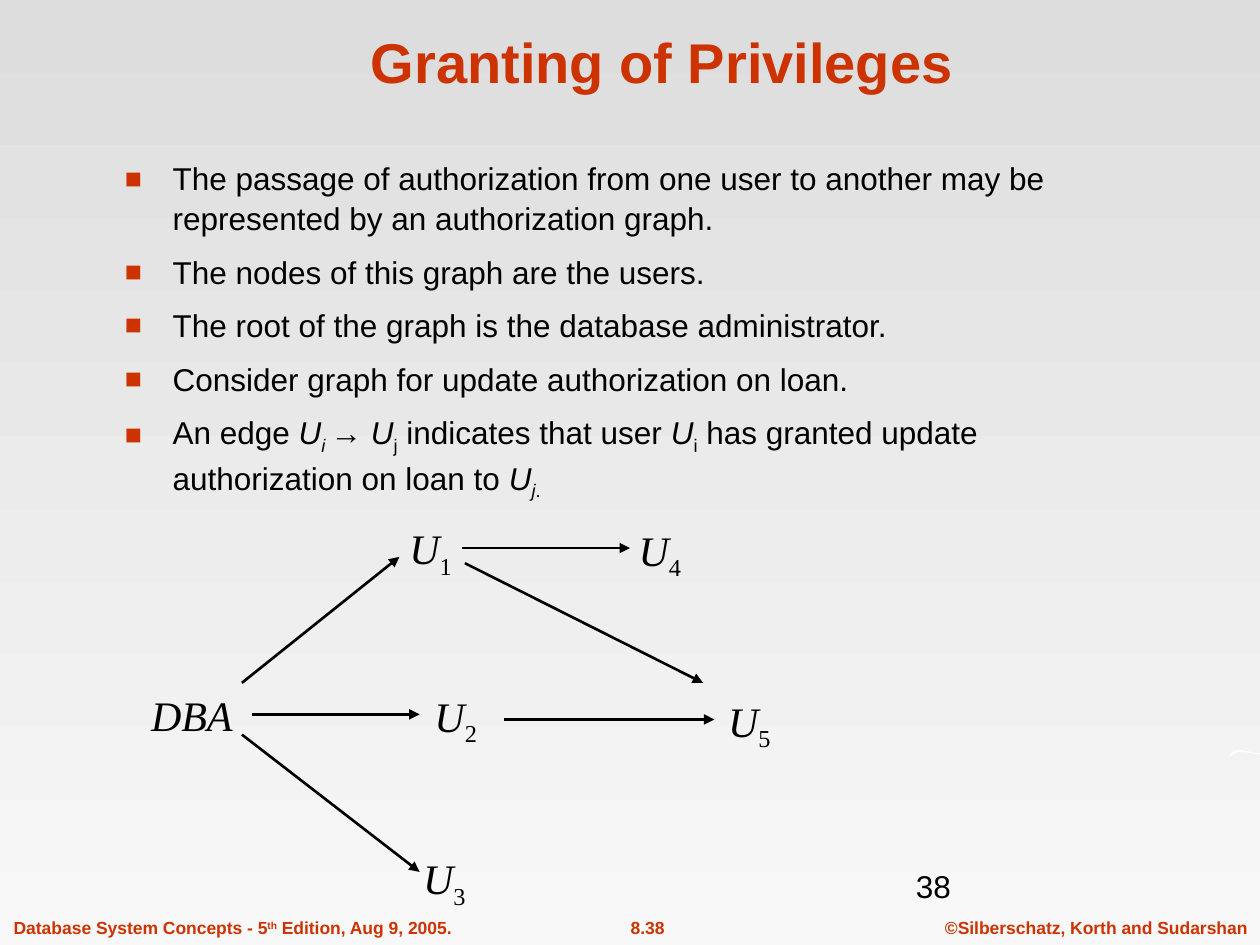
import pptx
import pptx.dml.color
import pptx.enum.dml
import pptx.enum.shapes
import pptx.enum.text
import pptx.oxml
import pptx.oxml.ns
import pptx.util
import lxml.etree

Inches = pptx.util.Inches
Pt = pptx.util.Pt
ALIGN = pptx.enum.text.PP_ALIGN
RED, BLACK, WHITE = "CC3300", "000000", "FFFFFF"
SHIFT = {"sub": "-25000", "sup": "30000"}

POINTS = [
    [("The passage of authorization from one user to another may be "
      "represented by an authorization graph.", "")],
    [("The nodes of this graph are the users.", "")],
    [("The root of the graph is the database administrator.", "")],
    [("Consider graph for update authorization on loan.", "")],
    [("An edge ", ""), ("U", "it"), ("i ", "it sub"), ("→ ", ""),
     ("U", "it"), ("j", "sub"), (" indicates that user ", ""),
     ("U", "it"), ("i", "sub"),
     (" has granted update authorization on loan to ", ""),
     ("U", "it"), ("j", "it sub"), (".", "sub")],
]
NODES = [("1", 2.05, 0), ("4", 3.87, 0.01), ("2", 2.25, 1.33),
         ("5", 4.58, 1.37), ("3", 2.16, 2.62)]
EDGES = [(0.82, 1.32, 2.07, 0.32), (2.57, 0.25, 3.9, 0.25),
         (0.9, 1.57, 2.23, 1.57), (0.82, 1.73, 2.23, 2.82),
         (2.9, 1.61, 4.57, 1.61), (2.59, 0.37, 4.48, 1.32)]
SWOOSH = [(0, 0.06), (0.02, 0.03), (0.05, 0.01), (0.1, 0), (0.14, 0.01),
          (0.19, 0.02), (0.25, 0.03), (0.24, 0.04), (0.2, 0.03),
          (0.13, 0.02), (0.07, 0.02), (0.03, 0.04)]


def rgb(code):
    """Turn a hex string into a colour."""
    return pptx.dml.color.RGBColor.from_string(code)


def style(par, size, code, face="Arial", bold=False):
    """Set the font of a whole paragraph."""
    font = par.font
    font.size, font.name, font.bold = Pt(size), face, bold
    font.color.rgb = rgb(code)


def write(par, runs):
    """Add runs, each a text with marks for italic and shifted baseline."""
    for text, marks in runs:
        run = par.add_run()
        run.text = text
        for mark in marks.split():
            if mark == "it":
                run.font.italic = True
            else:
                run._r.get_or_add_rPr().set("baseline", SHIFT[mark])


def place(shape, x, y, w, h):
    """Move and size a shape."""
    shape.left, shape.top = Inches(x), Inches(y)
    shape.width, shape.height = Inches(w), Inches(h)


def label(slide, box, runs, size, code, face="Arial", bold=False,
          align=ALIGN.LEFT, wrap=False):
    """Add a text box of one paragraph."""
    frame = slide.shapes.add_textbox(*map(Inches, box)).text_frame
    frame.word_wrap = wrap
    par = frame.paragraphs[0]
    par.alignment = align
    write(par, runs)
    style(par, size, code, face, bold)


def bullet(par):
    """Give a paragraph a hanging red square."""
    props = par._p.get_or_add_pPr()
    props.set("marL", str(Inches(0.38)))
    props.set("indent", str(Inches(-0.38)))
    space = pptx.oxml.ns.nsdecls("a")
    for tag in (f'<a:buClr {space}><a:srgbClr val="{RED}"/></a:buClr>',
                f'<a:buSzPct {space} val="90000"/>',
                f'<a:buChar {space} char="■"/>'):
        props.append(pptx.oxml.parse_xml(tag))


def title(slide, x, y, w, h):
    """Fill the title placeholder."""
    shape = slide.shapes.title
    place(shape, x, y, w, h)
    frame = shape.text_frame
    frame.auto_size = pptx.enum.text.MSO_AUTO_SIZE.NONE
    frame.vertical_anchor = pptx.enum.text.MSO_ANCHOR.BOTTOM
    par = frame.paragraphs[0]
    par.alignment = ALIGN.CENTER
    write(par, [("Granting of Privileges", "")])
    style(par, 32, RED, bold=True)


def body(slide, x, y, w, h):
    """Fill the body placeholder with the bullet list."""
    shape = slide.placeholders[1]
    place(shape, x, y, w, h)
    frame = shape.text_frame
    frame.auto_size = pptx.enum.text.MSO_AUTO_SIZE.NONE
    for num, runs in enumerate(POINTS):
        par = frame.add_paragraph() if num else frame.paragraphs[0]
        bullet(par)
        par.space_before = Pt(7.9 if num else 0)
        par.line_spacing = 1.05
        write(par, runs)
        style(par, 18, BLACK)


def arrow(slide, x, y, to_x, to_y):
    """Draw one edge with an arrowhead at its end."""
    line = slide.shapes.add_connector(
        pptx.enum.shapes.MSO_CONNECTOR.STRAIGHT,
        Inches(x), Inches(y), Inches(to_x), Inches(to_y))
    line.line.color.rgb = rgb(BLACK)
    line.line.width = Pt(1.5)
    name = pptx.oxml.ns.qn
    props = line._element.spPr
    lxml.etree.SubElement(props.find(name("a:ln")), name("a:tailEnd"),
                          type="triangle")
    lxml.etree.SubElement(props, name("a:effectLst"))


def graph(slide, x, y):
    """Draw the authorization graph from its top left corner."""
    for ax, ay, bx, by in EDGES:
        arrow(slide, x + ax, y + ay, x + bx, y + by)
    face = "Times New Roman"
    for num, dx, dy in NODES:
        label(slide, (x + dx, y + dy, 0.54, 0.56),
              [("U", "it"), (num, "sub")], 24, BLACK, face)
    label(slide, (x, y + 1.32, 0.85, 0.5), [("DBA", "it")], 24, BLACK, face)


def swoosh(slide, x, y):
    """Draw the white stroke at the right edge."""
    spots = [(Inches(x + dx), Inches(y + dy)) for dx, dy in SWOOSH]
    form = slide.shapes.build_freeform(*spots[0])
    form.add_line_segments(spots[1:])
    shape = form.convert_to_shape()
    shape.shadow.inherit = False
    shape.fill.solid()
    shape.fill.fore_color.rgb = rgb(WHITE)
    shape.line.fill.background()


def footer(slide, y, h):
    """Write the three notes along the bottom."""
    edition = [("Database System Concepts - 5", ""), ("th", "sup"),
               (" Edition, Aug 9, 2005.", "")]
    for x, w, runs, align in (
            (0.01, 3.72, edition, ALIGN.LEFT),
            (4.65, 0.98, [("8.38", "")], ALIGN.CENTER),
            (7.4, 2.6, [("©Silberschatz, Korth and Sudarshan", "")],
             ALIGN.CENTER)):
        label(slide, (x, y, w, h), runs, 10, RED, bold=True, align=align)


def shade(slide):
    """Fade the background from grey to near white."""
    fill = slide.background.fill
    fill.gradient()
    fill.gradient_angle = 270
    for stop, code in zip(fill.gradient_stops, ("DDDDDD", "F8F8F8")):
        stop.color.rgb = rgb(code)


def main():
    """Build and save the slide."""
    deck = pptx.Presentation()
    deck.slide_width, deck.slide_height = Inches(10), Inches(7.5)
    slide = deck.slides.add_slide(deck.slide_layouts[1])
    shade(slide)
    footer(slide, 7.23, 0.27)
    swoosh(slide, 9.75, 5.95)
    title(slide, 0.84, 0.13, 8.83, 0.67)
    body(slide, 0.89, 1.2, 8.38, 5.36)
    graph(slide, 1.1, 4.1)
    label(slide, (7.17, 6.83, 2.08, 0.5), [("38", "")], 18, BLACK, wrap=True)
    deck.save("out.pptx")


if __name__ == "__main__":
    main()
